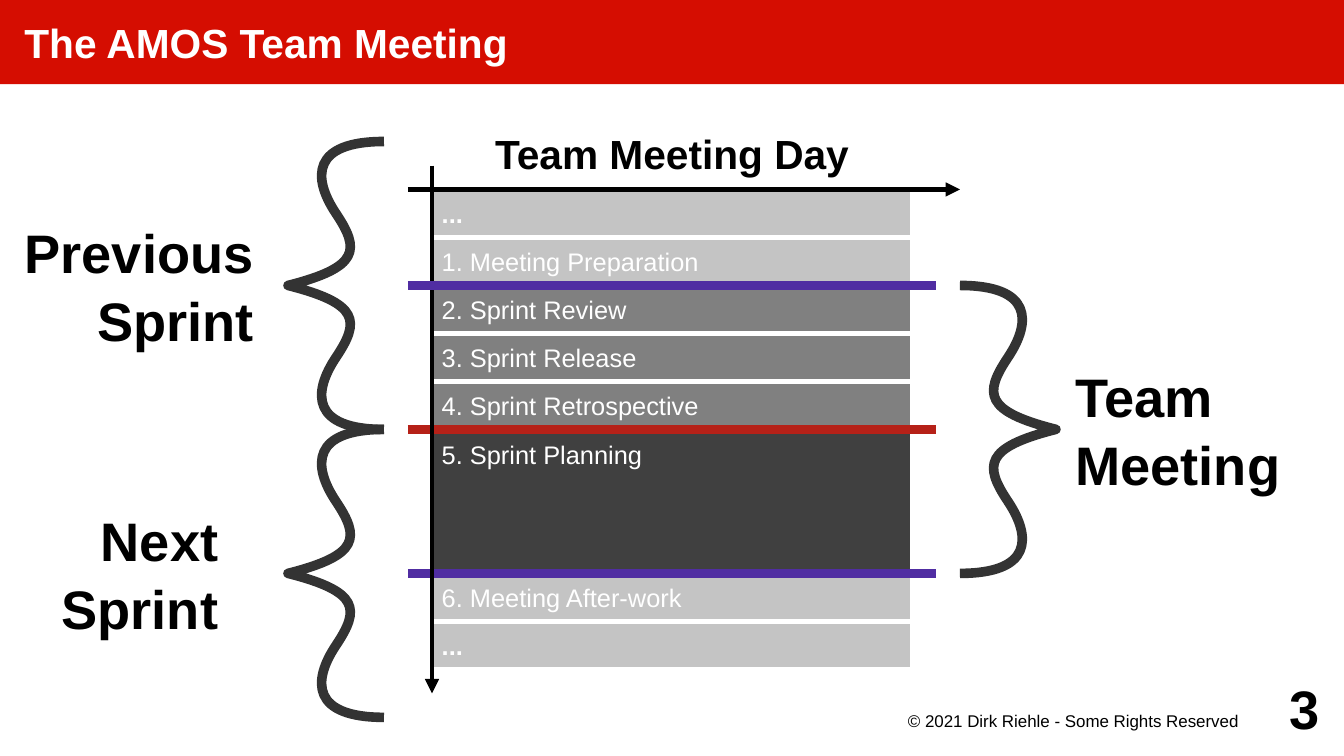
from lxml.etree import SubElement
from pptx import Presentation
from pptx.dml.color import RGBColor
from pptx.enum.shapes import MSO_CONNECTOR as Connector, MSO_SHAPE as Shape
from pptx.enum.text import MSO_ANCHOR as Anchor, MSO_AUTO_SIZE as AutoSize, PP_ALIGN as Align
from pptx.oxml.ns import qn
from pptx.util import Inches, Pt

WHITE = RGBColor(0xFF, 0xFF, 0xFF)
BLACK = RGBColor(0x00, 0x00, 0x00)
HEADER_RED = RGBColor(0xD5, 0x0D, 0x01)
SPRINT_RED = RGBColor(0xB6, 0x21, 0x18)
PURPLE = RGBColor(0x50, 0x2D, 0xA2)
LIGHT = RGBColor(0xC4, 0xC4, 0xC4)
MIDDLE = RGBColor(0x80, 0x80, 0x80)
DARK = RGBColor(0x40, 0x40, 0x40)
BRACE_GRAY = RGBColor(0x33, 0x33, 0x33)

presentation = Presentation()
presentation.slide_width = Inches(11.02)
presentation.slide_height = Inches(6.2)
slide = presentation.slides.add_slide(presentation.slide_layouts[5])
shapes = slide.shapes

UNIT = presentation.slide_width / 28
TOP = Inches(-0.02)
THIN, THICK = Pt(2.83), Pt(5.67)


def place(column, row, columns=0, rows=0):
    return (round(column * UNIT), round(TOP + row * UNIT),
            round(columns * UNIT), round(rows * UNIT))


def write(shape, lines, size, color, bold, align, anchor, insets):
    frame = shape.text_frame
    left, top, right, bottom = map(Inches, insets)
    frame_format = {
        "word_wrap": True, "auto_size": AutoSize.NONE, "vertical_anchor": anchor,
        "margin_left": left, "margin_top": top,
        "margin_right": right, "margin_bottom": bottom,
    }
    for name, value in frame_format.items():
        setattr(frame, name, value)
    frame.text = "\n".join(lines)
    for index, paragraph in enumerate(frame.paragraphs):
        paragraph.alignment = align
        paragraph.space_before = Pt(1.6 if index else 0)
        for name, value in {"name": "Arial", "size": Pt(size), "bold": bold}.items():
            setattr(paragraph.font, name, value)
        paragraph.font.color.rgb = color


title = shapes.title
title_place = {"left": 0, "top": 0, "width": presentation.slide_width, "height": Inches(0.69)}
for name, value in title_place.items():
    setattr(title, name, value)
title.fill.solid()
title.fill.fore_color.rgb = HEADER_RED
write(title, ["The AMOS Team Meeting"], 24, WHITE, True, Align.LEFT, Anchor.MIDDLE, (0.2, 0, 0, 0))

agenda = [
    ("...", 1, LIGHT),
    ("1. Meeting Preparation", 1, LIGHT),
    ("2. Sprint Review", 1, MIDDLE),
    ("3. Sprint Release", 1, MIDDLE),
    ("4. Sprint Retrospective", 1, MIDDLE),
    ("5. Sprint Planning", 3, DARK),
    ("6. Meeting After-work", 1, LIGHT),
    ("...", 1, LIGHT),
]
row = 4
for label, rows, color in agenda:
    bar = shapes.add_shape(Shape.RECTANGLE, *place(9, row, 10, rows))
    bar.shadow.inherit = False
    bar.fill.solid()
    bar.fill.fore_color.rgb = color
    bar.line.color.rgb = WHITE
    bar.line.width = THIN
    anchor = Anchor.TOP if rows > 1 else Anchor.MIDDLE
    write(bar, [label], 15, WHITE, label == "...", Align.LEFT, anchor, (0.08,) * 4)
    row += rows

rules = [
    ((8.5, 12), (19.5, 12), PURPLE, THICK, False),
    ((8.5, 4), (20, 4), BLACK, THIN, True),
    ((8.5, 9), (19.5, 9), SPRINT_RED, THICK, False),
    ((9, 3.5), (9, 14.5), BLACK, THIN, True),
    ((8.5, 6), (19.5, 6), PURPLE, THICK, False),
]
for start, end, color, width, has_arrow in rules:
    rule = shapes.add_connector(Connector.STRAIGHT, *place(*start)[:2], *place(*end)[:2])
    rule.line.color.rgb = color
    rule.line.width = width
    if has_arrow:
        SubElement(rule.line._get_or_add_ln(), qn("a:tailEnd"), type="triangle")
    SubElement(rule._element.spPr, qn("a:effectLst"))

upper_half = [(2, 0), (0.5, 0), (0.5, 0.75), (1, 1.5), (1.5, 2.25), (1.5, 2.62)]
lower_half = [(across, 6 - down) for across, down in reversed(upper_half)]
brace_points = upper_half + [(0, 3)] + lower_half
for tip, row, direction in [(6, 3, 1), (6, 9, 1), (22, 6, -1)]:
    points = [place(tip + direction * across, row + down)[:2] for across, down in brace_points]
    builder = shapes.build_freeform(*points[0])
    builder.add_line_segments(points[1:], close=False)
    brace = builder.convert_to_shape()
    brace.shadow.inherit = False
    brace.fill.background()
    brace.line.color.rgb = BRACE_GRAY
    brace.line.width = THICK
    outline = brace._element.find(".//" + qn("a:path"))
    segments = outline.findall(qn("a:lnTo"))
    for first in range(0, len(segments), 3):
        curve = SubElement(outline, qn("a:cubicBezTo"))
        for segment in segments[first:first + 3]:
            curve.append(segment[0])
            outline.remove(segment)

captions = [
    (["Team Meeting Day"], (9, 2.5, 10, 1.5), 24, True, Align.CENTER, Anchor.MIDDLE, (0.08,) * 4),
    (["Previous", "Sprint"], (0, 4, 6, 4), 32, True, Align.RIGHT, Anchor.MIDDLE, (0.08, 0.08, 0.28, 0.08)),
    (["Next", "Sprint"], (0, 10, 6, 4), 32, True, Align.RIGHT, Anchor.MIDDLE, (0.08, 0.08, 0.57, 0.08)),
    (["Team", "Meeting"], (22, 7, 6, 4), 32, True, Align.LEFT, Anchor.MIDDLE, (0.16, 0.08, 0.08, 0.08)),
    (["© 2021 Dirk Riehle - Some Rights Reserved"], (18, 14.8, 8, 0.75), 10, False,
     Align.RIGHT, Anchor.TOP, (0, 0.02, 0.08, 0)),
    (["3"], (25.5, 14.05, 2, 1.5), 32, True, Align.RIGHT, Anchor.MIDDLE, (0,) * 4),
]
for lines, area, size, bold, align, anchor, insets in captions:
    caption = shapes.add_textbox(*place(*area))
    write(caption, lines, size, BLACK, bold, align, anchor, insets)

presentation.save("out.pptx")
